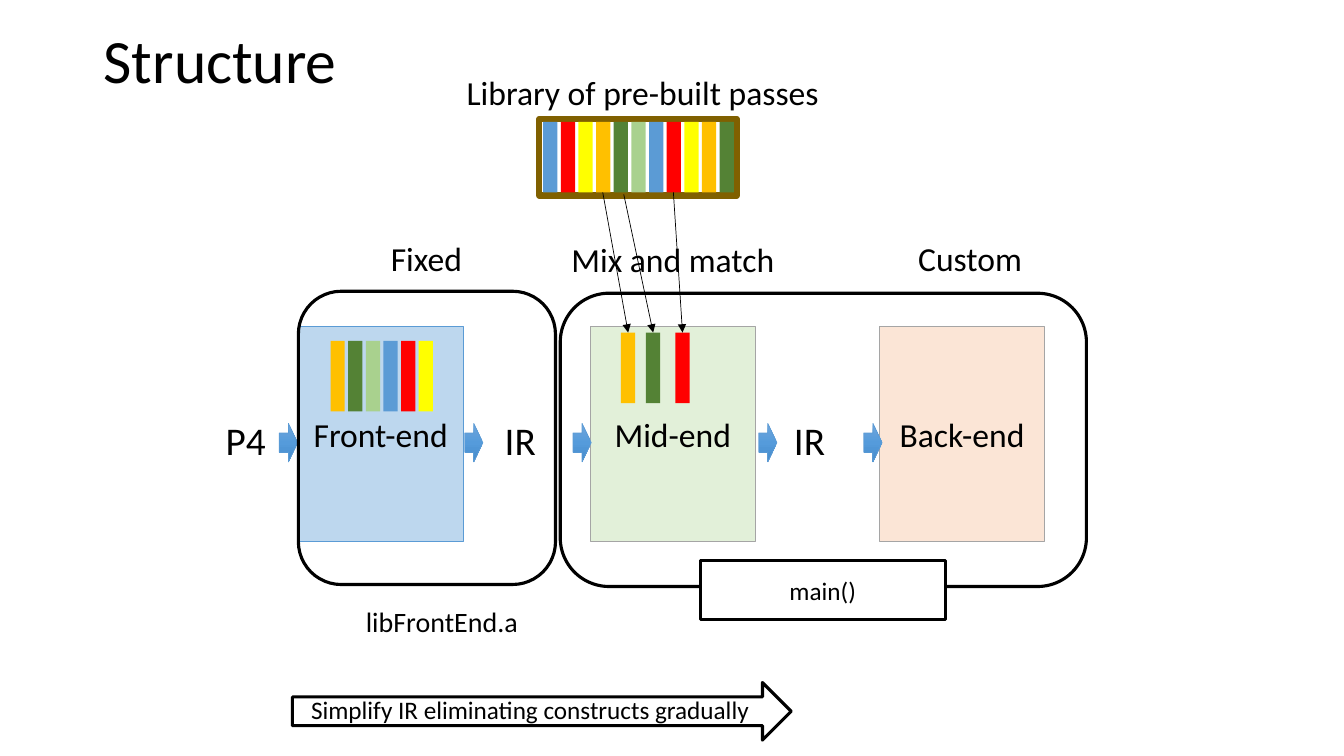
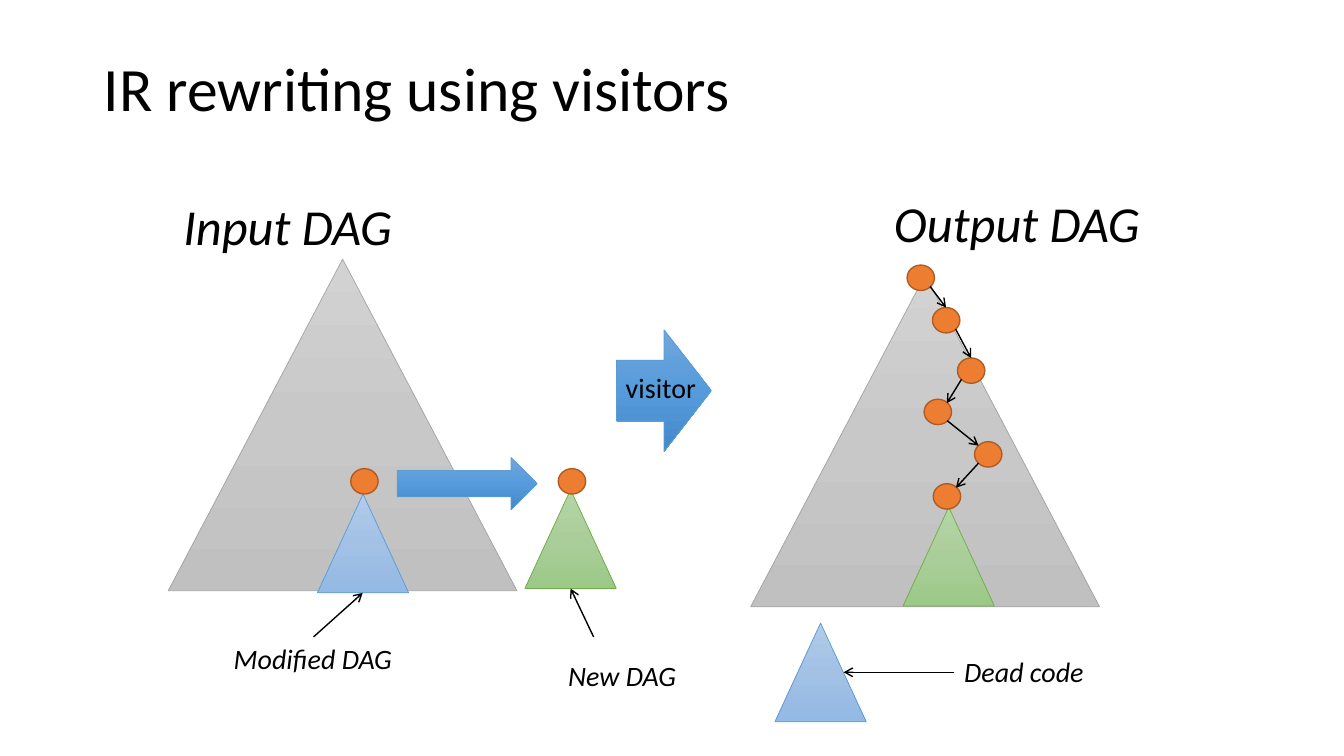
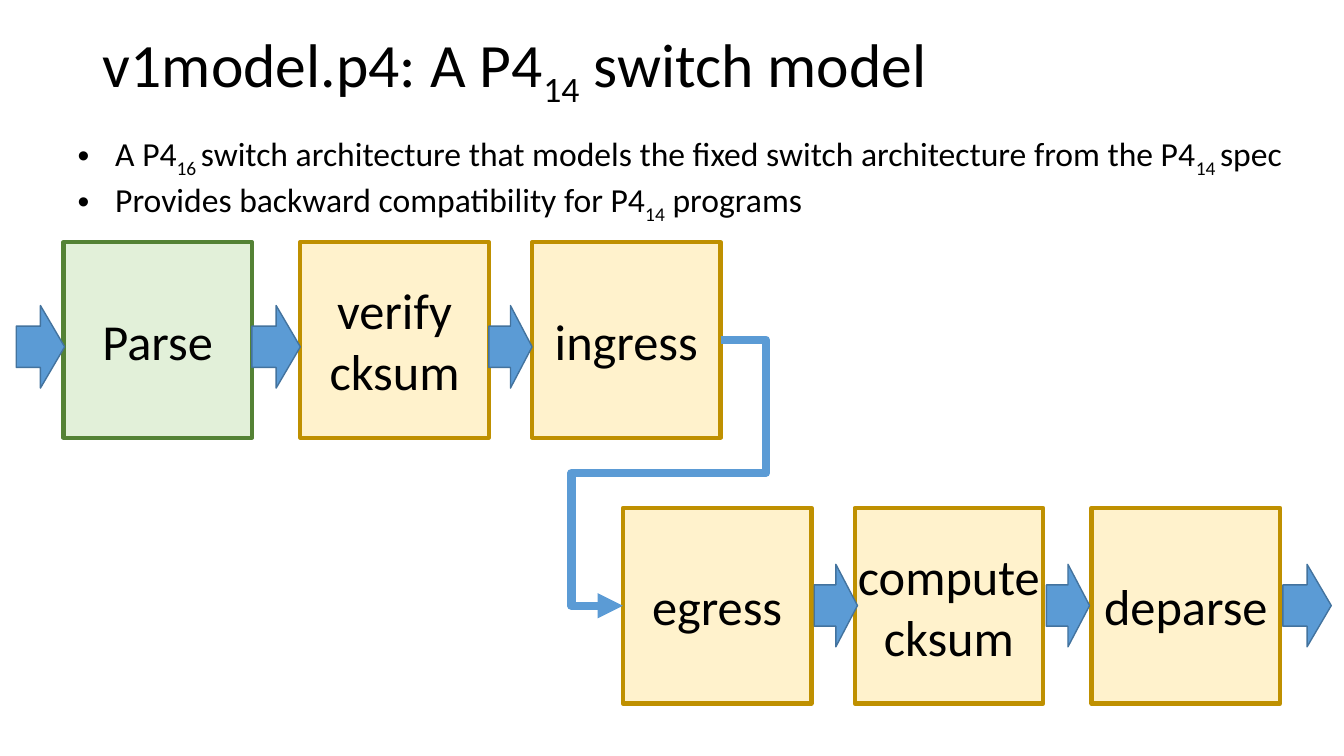
from copy import deepcopy
from itertools import pairwise

from lxml.etree import SubElement
from pptx import Presentation
from pptx.dml.color import RGBColor
from pptx.enum.shapes import MSO_CONNECTOR as Connector, MSO_SHAPE as Preset
from pptx.enum.text import MSO_ANCHOR as Anchor, MSO_AUTO_SIZE as AutoSize, PP_ALIGN as Align
from pptx.oxml.ns import qn
from pptx.util import Cm, Pt

FONT = "Calibri"
BLACK, WHITE = "000000", "FFFFFF"
BLUE, RED, YELLOW, GOLD, GREEN, LIME = "5B9BD5", "FF0000", "FFFF00", "FFC000", "548235", "A9D18E"
GREY, LEAF, ORANGE, RUST = "A5A5A5", "70AD47", "ED7D31", "AF5C24"
PALE_GREEN, PALE_BLUE, PALE_ORANGE, PALE_GOLD = "E2F0D9", "BDD7EE", "FBE5D6", "FFF2CC"
DARK_GOLD, BROWN, STEEL = "BF9000", "806000", "43739E"
BLUE_FADE = ("71A6DB", "559BDB", "448ACA")
GREY_FADE = ("D2D2D2", "C8C8C8", "C0C0C0")
GREEN_FADE = ("B5D5A7", "AACE9A", "9CC987")
SKY_FADE = ("B1CBE9", "A3C1E5", "93B9E4")
BOOK_WIDTH, BOOK_HEIGHT, BOOK_STEP = 0.36, 1.78, 0.4445


def color(code):
    return RGBColor.from_string(code)


def lengths(*values):
    return [Cm(value) for value in values]


def write(frame, text, size=18, italic=False, align=Align.LEFT, spacing=1.0,
          anchor=Anchor.TOP, wrap=True, bullet=None):
    frame.auto_size = AutoSize.NONE
    frame.word_wrap = wrap
    frame.vertical_anchor = anchor
    for index, line in enumerate(text.split("\n")):
        para = frame.add_paragraph() if index else frame.paragraphs[0]
        para.alignment, para.line_spacing, para.space_before = align, spacing, Pt(0)
        if bullet:
            properties = para._p.get_or_add_pPr()
            properties.set("marL", str(Cm(0.95)))
            properties.set("indent", str(-Cm(0.95)))
            SubElement(properties, qn("a:buChar"), char=bullet)
        for position, part in enumerate(line.split("|")):
            span = para.add_run()
            span.text = part
            span.font.name, span.font.size, span.font.italic = FONT, Pt(size), italic
            span.font.color.rgb = color(BLACK)
            if position % 2:
                span._r.get_or_add_rPr().set("baseline", "-25000")


def move(shape, left, top, width, height):
    shape.left, shape.top, shape.width, shape.height = lengths(left, top, width, height)


def add_page(deck, layout, title, *place):
    page = deck.slides.add_slide(deck.slide_layouts[layout])
    move(page.shapes.title, *place)
    write(page.shapes.title.text_frame, title, size=44, spacing=0.9, anchor=Anchor.MIDDLE)
    return page


def add_label(page, text, *place, **style):
    box = page.shapes.add_textbox(*lengths(*place))
    write(box.text_frame, text, wrap=False, **style)


def fade(fill, colors):
    fill.gradient()
    fill.gradient_angle = 270
    stops = fill.gradient_stops[0]._gs.getparent()
    stops.insert(1, deepcopy(stops[0]))
    for stop, code, position in zip(fill.gradient_stops, colors, (0, 0.5, 1)):
        stop.color.rgb = color(code)
        stop.position = position


def add_figure(page, preset, *place, fill=None, line=None, weight=0.5, text="", size=18, wrap=True):
    shape = page.shapes.add_shape(preset, *lengths(*place))
    shape.shadow.inherit = False
    if fill is None:
        shape.fill.background()
    elif isinstance(fill, tuple):
        fade(shape.fill, fill)
    else:
        shape.fill.solid()
        shape.fill.fore_color.rgb = color(fill)
    if line:
        shape.line.color.rgb = color(line)
        shape.line.width = Pt(weight)
    else:
        shape.line.fill.background()
    if text:
        write(shape.text_frame, text, size=size, align=Align.CENTER, anchor=Anchor.MIDDLE, wrap=wrap)
    return shape


def add_line(page, start, end, kind=Connector.STRAIGHT, line=BLACK, weight=1.0, head="arrow"):
    link = page.shapes.add_connector(kind, *lengths(*start, *end))
    link.line.color.rgb = color(line)
    link.line.width = Pt(weight)
    SubElement(link.line._get_or_add_ln(), qn("a:tailEnd"), type=head)
    SubElement(link._element.spPr, qn("a:effectLst"))
    return link


def add_book(page, left, top, fill):
    add_figure(page, Preset.RECTANGLE, left, top, BOOK_WIDTH, BOOK_HEIGHT, fill=fill)


def add_books(page, left, top, fills):
    for index, fill in enumerate(fills):
        add_book(page, left + index * BOOK_STEP, top, fill)


def add_fade_arrow(page, *place):
    add_figure(page, Preset.RIGHT_ARROW, *place, fill=BLUE_FADE, line=BLUE)


def add_dag(page, left, top, fill, line, width=2.3, height=2.49):
    add_figure(page, Preset.ISOSCELES_TRIANGLE, left, top, width, height, fill=fill, line=line)


def add_node(page, left, top):
    add_figure(page, Preset.OVAL, left, top, 0.69, 0.64, fill=ORANGE, line=RUST, weight=1)


def build_structure(deck):
    page = add_page(deck, 5, "Structure", 2.36, 0.61, 29.21, 1.96)
    for name, left, fill, line in (("Mid-end", 14.88, PALE_GREEN, GREY),
                                   ("Front-end", 7.52, PALE_BLUE, BLUE),
                                   ("Back-end", 22.17, PALE_ORANGE, GREY)):
        add_figure(page, Preset.RECTANGLE, left, 8.23, 4.15, 5.41,
                   fill=fill, line=line, text=name, size=24)
    for name, left, width in (("P4", 5.44, 1.52), ("IR", 12.47, 1.3), ("IR", 19.76, 1.3)):
        add_label(page, name, left, 10.36, width, 1.45, size=28)
    for left in (7.04, 11.71, 14.44, 19.12, 21.77):
        add_fade_arrow(page, left, 10.67, 0.46, 0.97)
    for left, top, width in ((7.52, 7.34, 6.48), (14.12, 7.39, 13.26)):
        add_figure(page, Preset.ROUNDED_RECTANGLE, left, top, width, 7.39, line=BLACK, weight=2.25)
    add_label(page, "libFrontEnd.a", 8.97, 15.11, 4.39, 1.12, size=20)
    add_figure(page, Preset.RECTANGLE, 17.65, 14.12, 6.17, 1.5,
               fill=WHITE, line=BLACK, weight=2.25, text="main()")
    add_figure(page, Preset.RIGHT_ARROW, 7.37, 17.2, 12.57, 1.45,
               fill=WHITE, line=BLACK, weight=2.25)
    add_label(page, "Simplify IR eliminating constructs gradually", 7.59, 17.37, 11.68, 1.02)

    add_figure(page, Preset.RECTANGLE, 13.59, 3, 4.98, 1.93, line=BROWN, weight=4.5)
    shelf = [BLUE, RED, YELLOW, GOLD, GREEN, LIME]
    add_books(page, 13.69, 3.07, shelf + shelf[:5])
    add_books(page, 8.33, 8.59, shelf[3:] + shelf[:3])
    for left, fill, start in ((15.65, GOLD, (15.19, 4.85)),
                              (16.28, GREEN, (15.72, 4.9)),
                              (17.02, RED, (16.97, 4.85))):
        add_book(page, left, 8.38, fill)
        add_line(page, start, (left + BOOK_WIDTH / 2, 8.38), weight=0.5, head="triangle")
    for name, left, top, width in (("Library of pre-built passes", 11.51, 1.7, 9.47),
                                   ("Fixed", 9.6, 5.87, 2.34),
                                   ("Mix and match", 14.15, 5.89, 5.66),
                                   ("Custom", 22.89, 5.87, 3.15)):
        add_label(page, name, left, top, width, 1.27, size=24)


def build_rewriting(deck):
    page = add_page(deck, 5, "IR rewriting using visitors", 2.36, 0.71, 22.86, 3.18)
    for left, top in ((18.92, 6.93), (4.24, 6.53)):
        add_dag(page, left, top, GREY_FADE, GREY, width=8.79, height=8.36)
    for left, top in ((22.76, 12.78), (13.23, 12.34)):
        add_dag(page, left, top, GREEN_FADE, LEAF)
    for left, top in ((8, 12.45), (19.53, 15.7)):
        add_dag(page, left, top, SKY_FADE, BLUE)
    add_fade_arrow(page, 15.54, 8.31, 2.39, 3.07)
    add_fade_arrow(page, 10.01, 11.53, 3.53, 1.32)

    chain = [(22.86, 6.68), (23.5, 7.75), (24.13, 9.02), (23.29, 10.06), (24.56, 11.13), (23.52, 12.19)]
    for place in [(8.84, 11.81), (14.07, 11.81)] + chain:
        add_node(page, *place)
    for (left, top), (next_left, next_top) in pairwise(chain):
        ahead = next_left > left
        start = (left + (0.58 if ahead else 0.1), top + 0.54)
        end = (next_left + (0.34 if ahead else 0.57), next_top + (0 if ahead else 0.1))
        if next_left - left > 1:
            end = (next_left + 0.1, next_top + 0.1)
        add_line(page, start, end)

    for start, end in (((7.9, 16.05), (9.14, 14.94)),
                       ((14.96, 16.05), (14.38, 14.83)),
                       ((24.05, 16.94), (21.26, 16.94))):
        add_line(page, start, end)
    for name, left, top, width in (("Input DAG", 4.37, 4.78, 5.82), ("Output DAG", 22.28, 4.72, 6.76)):
        add_label(page, name, left, top, width, 1.8, size=36, italic=True)
    for name, left, top, width in (("Modified DAG", 5.64, 16.05, 4.55),
                                   ("New DAG", 14.07, 16.46, 3.25),
                                   ("Dead code", 24.05, 16.38, 3.53)):
        add_label(page, name, left, top, width, 1.12, size=20, italic=True)
    add_label(page, "visitor", 15.52, 9.22, 2.31, 1.12, size=20)


def build_switch_model(deck):
    page = add_page(deck, 1, "v1model.p4: A P4|14| switch model", 2.34, 0.25, 29.21, 2.77)
    body = page.placeholders[1]
    move(body, 1.7, 3.23, 31.39, 2.31)
    write(body.text_frame,
          "A P4|16 |switch architecture that models the fixed switch architecture from the P4|14 |spec\n"
          "Provides backward compatibility for P4|14| programs", size=24, bullet="•")

    stages = {}
    for top, row in ((6.1, (("Parse", 1.6), ("verify\ncksum", 7.57), ("ingress", 13.41))),
                     (12.8, (("egress", 15.7), ("compute\ncksum", 21.54), ("deparse", 27.51)))):
        for name, left in row:
            fill, line = (PALE_GREEN, GREEN) if name == "Parse" else (PALE_GOLD, DARK_GOLD)
            stages[name] = add_figure(page, Preset.RECTANGLE, left, top, 4.75, 4.93, fill=fill,
                                      line=line, weight=3, text=name, size=36,
                                      wrap=not name.startswith("compute"))
    for top, row in ((7.7, ((0.41, 1.22), (6.35, 1.22), (12.32, 1.09))),
                     (14.22, ((20.52, 1.09), (26.37, 1.09), (32.33, 1.22)))):
        for left, width in row:
            add_figure(page, Preset.RIGHT_ARROW, left, top, width, 2.08,
                       fill=BLUE, line=STEEL, weight=1)

    bend = add_line(page, (18.16, 8.56), (15.7, 15.27), kind=Connector.ELBOW,
                    line=BLUE, weight=6, head="triangle")
    bend.begin_connect(stages["ingress"], 3)
    bend.end_connect(stages["egress"], 1)
    geometry = bend._element.spPr.find(qn("a:prstGeom"))
    geometry.set("prst", "bentConnector5")
    guides = geometry.get_or_add_avLst()
    for number, value in enumerate((-46500, 50000, 152700), 1):
        SubElement(guides, qn("a:gd"), name=f"adj{number}", fmla=f"val {value}")


def main():
    deck = Presentation()
    deck.slide_width, deck.slide_height = lengths(33.87, 19.05)
    build_structure(deck)
    build_rewriting(deck)
    build_switch_model(deck)
    deck.save("out.pptx")


if __name__ == "__main__":
    main()
